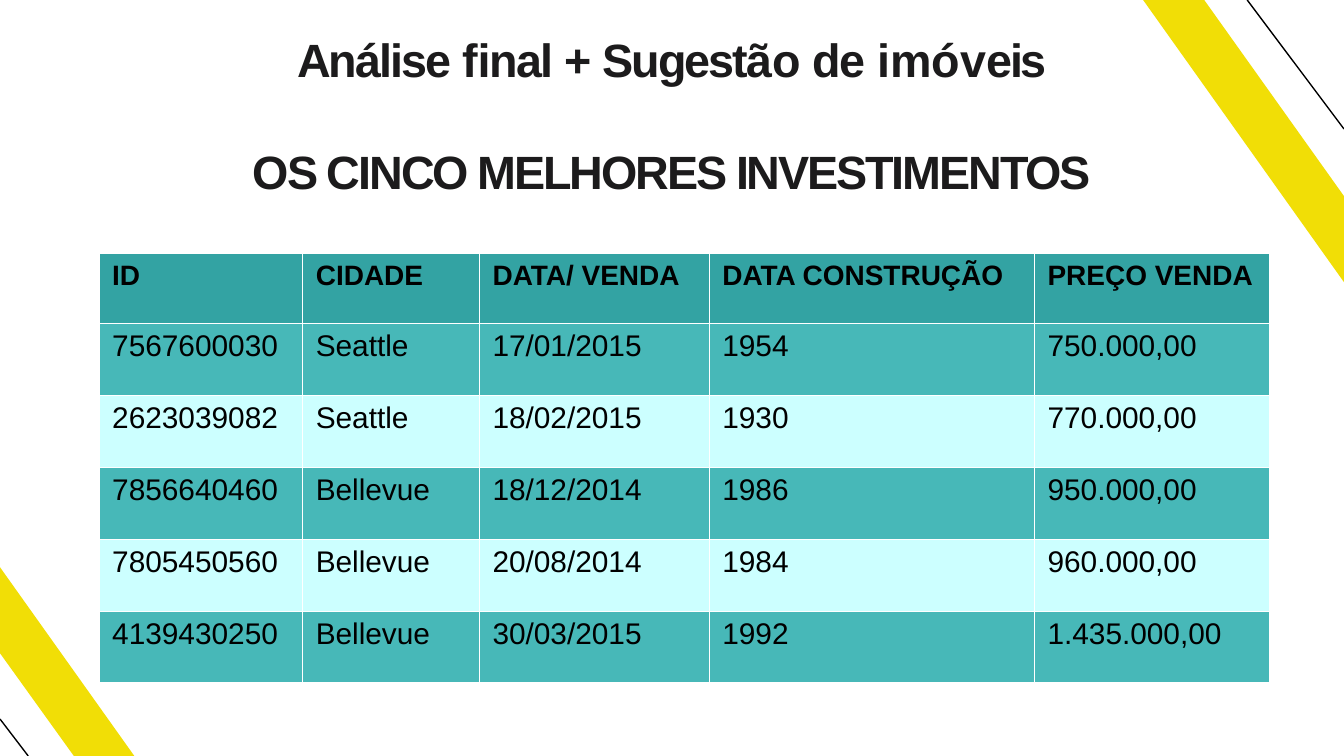
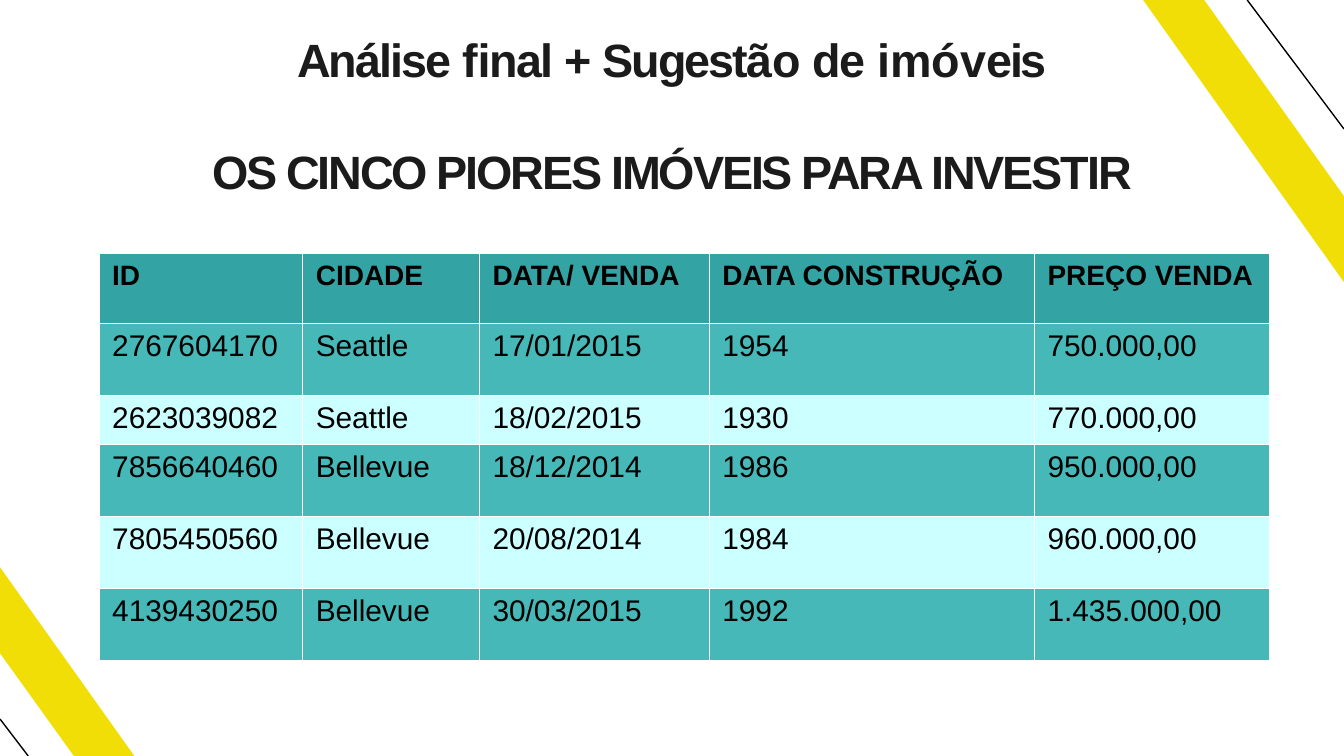
from copy import deepcopy
from dataclasses import dataclass

from lxml import etree
from pptx import Presentation, util as u
from pptx.dml.color import RGBColor
from pptx.enum import shapes, text
from pptx.oxml import ns

PX = 4572  # EMU per px, 200 px to the inch
WIDTH, HEIGHT = 2000, 1125
FONT = "Arial"

YELLOW, BLACK, WHITE, INK = "F1DE06", "000000", "FFFFFF", "1C1B1C"
HEADER_FILL, ODD_FILL, EVEN_FILL = "33A3A3", "47B8B8", "CCFFFF"


@dataclass(frozen=True)
class Band:
    points: tuple[tuple[int, int], ...]


@dataclass(frozen=True)
class Stroke:
    start: tuple[int, int]
    end: tuple[int, int]


@dataclass(frozen=True)
class Ranking:
    subtitle: str
    rows: tuple[tuple[str, ...], ...]
    heights: tuple[int, ...]


# Corner decoration
BANDS = (
    Band(((WIDTH, 420), (1701, 0), (1792, 0), (WIDTH, 292))),
    Band(((200, HEIGHT), (110, HEIGHT), (0, 972), (0, 844))),
)
STROKES = (
    Stroke((1856, 0), (WIDTH, 192)),
    Stroke((42, HEIGHT), (0, 1070)),
)

# Title pieces with letter spacing in hundredths of a point
TITLE = (
    ("Análise ", -100), ("ﬁnal ", -90), ("+ ", -140), ("Sugestã", -100),
    ("o ", -80), ("de ", -60), ("i", -30), ("m", -90), ("ó", -120),
    ("v", -170), ("eis", -110),
)
SUBTITLE_SPACING = -110

# Table contents
COLUMNS = (303, 263, 342, 484, 349)
HEADER = ("ID", "CIDADE", "DATA/ VENDA", "DATA CONSTRUÇÃO", "PREÇO VENDA")
FIRST_SALE = ("Seattle", "17/01/2015", "1954", "750.000,00")
OTHER_SALES = (
    ("2623039082", "Seattle", "18/02/2015", "1930", "770.000,00"),
    ("7856640460", "Bellevue", "18/12/2014", "1986", "950.000,00"),
    ("7805450560", "Bellevue", "20/08/2014", "1984", "960.000,00"),
    ("4139430250", "Bellevue", "30/03/2015", "1992", "1.435.000,00"),
)
RANKINGS = (
    Ranking("OS CINCO MELHORES INVESTIMENTOS",
            (HEADER, ("7567600030", *FIRST_SALE), *OTHER_SALES),
            (104, 107, 107, 107, 107, 107)),
    Ranking("OS CINCO PIORES IMÓVEIS PARA INVESTIR",
            (HEADER, ("2767604170", *FIRST_SALE), *OTHER_SALES),
            (104, 107, 48, 107, 107, 107)),
)


def px(*values: int) -> list[u.Emu]:
    return [u.Emu(v * PX) for v in values]


def color(value: str) -> RGBColor:
    return RGBColor.from_string(value)


def format_run(r, size: int, ink: str, bold: bool) -> None:
    r.font.name = FONT
    r.font.size = u.Pt(size)
    r.font.bold = bold
    r.font.color.rgb = color(ink)


def draw_band(s, band: Band) -> None:
    builder = s.shapes.build_freeform(*band.points[0], scale=PX)
    builder.add_line_segments(band.points[1:], close=True)
    sp = builder.convert_to_shape()
    sp.shadow.inherit = False
    sp.fill.solid()
    sp.fill.fore_color.rgb = color(YELLOW)
    sp.line.fill.background()


def draw_stroke(s, stroke: Stroke) -> None:
    sp = s.shapes.add_connector(shapes.MSO_CONNECTOR.STRAIGHT,
                                *px(*stroke.start, *stroke.end))
    sp.line.color.rgb = color(BLACK)
    sp.line.width = u.Pt(0.75)
    etree.SubElement(sp._element.spPr, ns.qn("a:effectLst"))


def add_piece(p, piece: str, spacing: int):
    r = p.add_run()
    r.text = piece
    format_run(r, 25, INK, True)
    r._r.get_or_add_rPr().set("spc", str(spacing))
    return r


def draw_title(s, subtitle: str) -> None:
    tf = s.shapes.add_textbox(*px(100, 44, 1800, 188)).text_frame
    tf.word_wrap = True
    tf.margin_left = tf.margin_right = tf.margin_bottom = 0
    tf.margin_top = px(2)[0]
    p = tf.paragraphs[0]
    p.alignment = text.PP_ALIGN.CENTER
    p.space_before = u.Pt(1)
    for piece, spacing in TITLE:
        add_piece(p, piece, spacing)
    p.add_line_break()
    p.add_line_break()
    r = add_piece(p, subtitle, SUBTITLE_SPACING)
    # Line breaks take the size of the title text
    for br in p._p.findall(ns.qn("a:br")):
        br.append(deepcopy(r._r.get_or_add_rPr()))


def set_borders(cell) -> None:
    tc_pr = cell._tc.get_or_add_tcPr()
    for i, side in enumerate(("lnL", "lnR", "lnT", "lnB")):
        ln = etree.Element(ns.qn(f"a:{side}"), w="762")
        fill = etree.SubElement(ln, ns.qn("a:solidFill"))
        etree.SubElement(fill, ns.qn("a:srgbClr"), val=WHITE)
        tc_pr.insert(i, ln)


def draw_cell(cell, value: str, fill: str, size: int, bold: bool) -> None:
    cell.text_frame.text = value
    p = cell.text_frame.paragraphs[0]
    format_run(p.runs[0], size, BLACK, bold)
    etree.SubElement(p._p, ns.qn("a:endParaRPr"), sz=str(size * 100))
    cell.fill.solid()
    cell.fill.fore_color.rgb = color(fill)
    set_borders(cell)


def draw_table(s, ranking: Ranking) -> None:
    frame = s.shapes.add_table(
        len(ranking.rows), len(COLUMNS),
        *px(147, 377, sum(COLUMNS), sum(ranking.heights)))
    table = frame.table
    table.horz_banding = False
    for column, width in zip(table.columns, px(*COLUMNS)):
        column.width = width
    for row, height in zip(table.rows, px(*ranking.heights)):
        row.height = height
    for i, values in enumerate(ranking.rows):
        is_header = i == 0
        fill = HEADER_FILL if is_header else (EVEN_FILL, ODD_FILL)[i % 2]
        for j, value in enumerate(values):
            draw_cell(table.cell(i, j), value, fill,
                      15 if is_header else 16, is_header)


def main() -> None:
    prs = Presentation()
    prs.slide_width, prs.slide_height = px(WIDTH, HEIGHT)
    for ranking in RANKINGS:
        s = prs.slides.add_slide(prs.slide_layouts[6])
        for band, stroke in zip(BANDS, STROKES):
            draw_band(s, band)
            draw_stroke(s, stroke)
        draw_title(s, ranking.subtitle)
        draw_table(s, ranking)
    prs.save("out.pptx")


if __name__ == "__main__":
    main()
